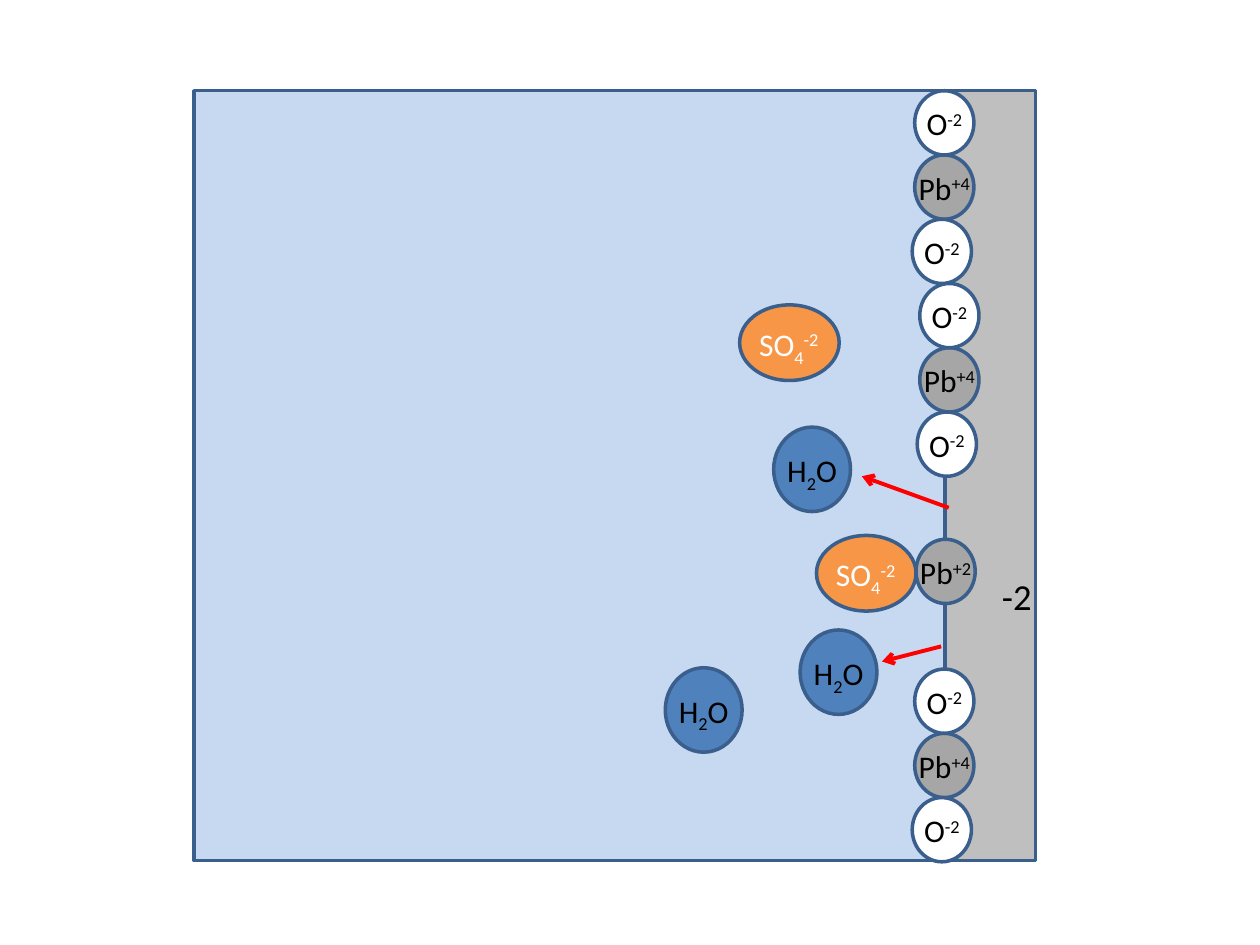
from lxml.etree import SubElement
from pptx import Presentation
from pptx.dml.color import RGBColor
from pptx.enum.shapes import MSO_CONNECTOR, MSO_SHAPE
from pptx.enum.text import MSO_AUTO_SIZE, PP_ALIGN
from pptx.oxml.ns import qn
from pptx.util import Emu, Pt

PX = 9144  # EMU per px, 100 px to the inch
OUTLINE, BLACK, WHITE, RED = "3A5F8C", "000000", "FFFFFF", "FF0000"
SUB, SUPER = -25, 30  # baseline shift in percent


def px(n):
    return Emu(n * PX)


def rgb(value):
    return RGBColor.from_string(value)


class Diagram:
    font = "Calibri"
    line_width = Pt(2)

    def __init__(self, slide):
        self.slide = slide

    def shape(self, shapes, kind, box, fill):
        sp = shapes.add_shape(kind, *map(px, box))
        sp.shadow.inherit = False
        sp.fill.solid()
        sp.fill.fore_color.rgb = rgb(fill)
        sp.line.color.rgb = rgb(OUTLINE)
        sp.line.width = self.line_width

    def rect(self, box, fill):
        self.shape(self.slide.shapes, MSO_SHAPE.RECTANGLE, box, fill)

    def label(self, shapes, box, runs, color=BLACK, size=18, wrap=False):
        tf = shapes.add_textbox(*map(px, box)).text_frame
        tf.word_wrap = wrap
        tf.auto_size = MSO_AUTO_SIZE.SHAPE_TO_FIT_TEXT
        p = tf.paragraphs[0]
        p.alignment = PP_ALIGN.CENTER
        for text, shift in runs:
            r = p.add_run()
            r.text = text
            r.font.name = self.font
            r.font.size = Pt(size)
            r.font.color.rgb = rgb(color)
            if shift:
                r.font._element.set("baseline", str(shift * 1000))

    def particle(self, kind, x, y):
        """Ellipse with a formula centred on it; x, y is its top left."""
        w, h, label_w, fill, color, wrap, runs = PARTICLES[kind]
        shapes = self.slide.shapes.add_group_shape().shapes
        self.shape(shapes, MSO_SHAPE.OVAL, (x, y, w, h), fill)
        label_box = (x + (w - label_w) // 2, y + (h - 40) // 2 + 1, label_w, 40)
        self.label(shapes, label_box, runs, color, wrap=wrap)

    def arrow(self, x1, y1, x2, y2):
        line = self.slide.shapes.add_connector(
            MSO_CONNECTOR.STRAIGHT, px(x1), px(y1), px(x2), px(y2))
        line.line.color.rgb = rgb(RED)
        line.line.width = Pt(2.25)
        SubElement(line.line._get_or_add_ln(), qn("a:tailEnd"), type="arrow")
        SubElement(line._element.spPr, qn("a:effectLst"))


# width, height, label width, fill, text colour, wrap, formula
PARTICLES = {
    "water": (61, 67, 61, "4F81BD", BLACK, False,
              [("H", 0), ("2", SUB), ("O", 0)]),
    "sulfate": (79, 60, 102, "F79646", WHITE, True,
                [("SO", 0), ("4", SUB), ("-2", SUPER)]),
    "oxide": (47, 51, 51, WHITE, BLACK, False, [("O", 0), ("-2", SUPER)]),
    "lead4": (47, 51, 63, "A6A6A6", BLACK, False, [("Pb", 0), ("+4", SUPER)]),
    "lead2": (47, 51, 63, "A6A6A6", BLACK, False, [("Pb", 0), ("+2", SUPER)]),
}


def main():
    prs = Presentation()
    prs.slide_width, prs.slide_height = px(1000), px(750)
    slide = prs.slides.add_slide(prs.slide_layouts[6])
    d = Diagram(slide)

    # Electrolyte and electrode
    d.rect((154, 72, 668, 611), "C6D9F1")
    d.rect((750, 72, 72, 611), "BFBFBF")

    # Particles in the electrolyte
    for kind, x, y in [("water", 614, 339), ("sulfate", 648, 425),
                       ("water", 528, 530), ("sulfate", 587, 242)]:
        d.particle(kind, x, y)

    # Lead dioxide units on the electrode surface: lead between two oxides
    for x, y in [(730, 276), (726, 123), (726, 582)]:
        d.particle("lead4", x, y)
        d.particle("oxide", x, y - 51)
        d.particle("oxide", x - 2, y + 51)

    # Reduced lead ion
    d.particle("lead2", 727, 428)

    # Water leaving the surface
    d.particle("water", 635, 500)
    d.arrow(753, 403, 684, 378)
    d.arrow(747, 513, 700, 525)

    # Electrode charge
    d.label(slide.shapes, (783, 417, 48, 50), [("-2", SUB)], size=36)

    prs.save("out.pptx")


if __name__ == "__main__":
    main()
